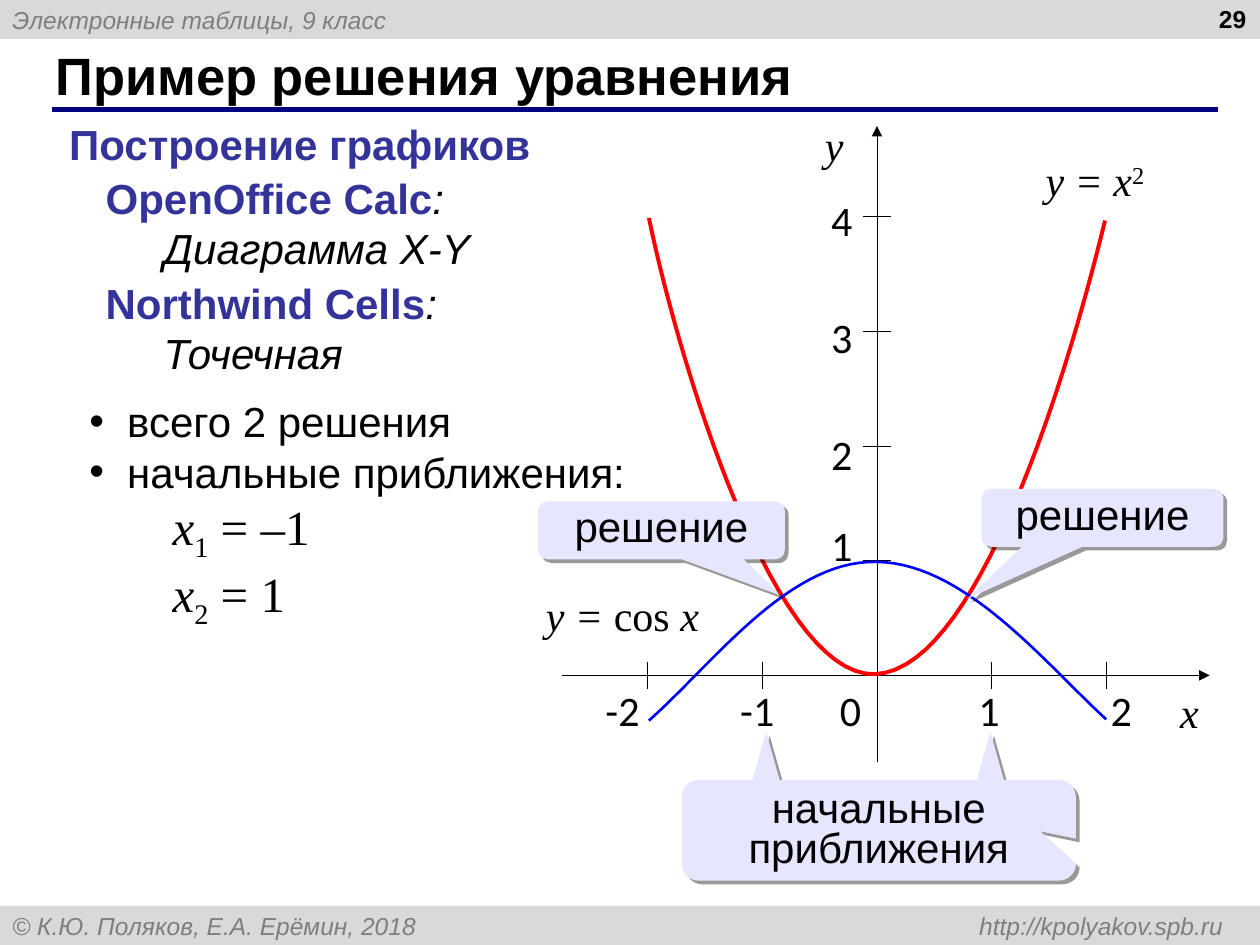
import pptx
import pptx.util
import pptx.dml.color
import pptx.enum.shapes
import pptx.enum.text
import pptx.oxml
import pptx.oxml.ns

WIDTH, HEIGHT = 10, 7.5
BAND = 0.31
ORIGIN_X, ORIGIN_Y, UNIT, TICK = 6.96, 5.36, 0.91, 0.11
KINDS = pptx.enum.shapes.MSO_SHAPE
LEFT, CENTER, RIGHT = (pptx.enum.text.PP_ALIGN.LEFT, pptx.enum.text.PP_ALIGN.CENTER,
                       pptx.enum.text.PP_ALIGN.RIGHT)

PLAIN = {"size": 24, "font": "Arial", "color": "000000"}
ITALIC = {**PLAIN, "italic": True}
HEAD = {**PLAIN, "color": "333399", "bold": True}
TITLE = {**PLAIN, "size": 30, "bold": True}
NUMBER = {**PLAIN, "size": 14, "bold": True}
BAND_TEXT = {"size": 14, "font": "Arial", "color": "7F7F7F", "italic": True}
SCALE = {**PLAIN, "font": "Calibri"}
MATH = {**PLAIN, "font": "Times New Roman"}
VARIABLE = {**MATH, "italic": True}
BIG, BIG_VARIABLE = {**MATH, "size": 28}, {**VARIABLE, "size": 28}
INDEX = {**BIG, "baseline": -25000}
POWER = {**MATH, "baseline": 30000}

BANDS = [
    (0, "Электронные таблицы, 9 класс"),
    (HEIGHT - BAND, "© К.Ю. Поляков, Е.А. Ерёмин, 2018 \thttp://kpolyakov.spb.ru"),
]
HEADINGS = [
    ((0.45, 0.89, 3.99, 0.5), [[("Построение графиков", HEAD)]]),
    ((0.74, 1.32, 3.18, 0.9), [[("OpenOffice Calc", HEAD), (":", ITALIC)],
                               [("Диаграмма X-Y", ITALIC)]]),
    ((0.74, 2.15, 2.85, 0.9), [[("Northwind Cells", HEAD), (":", ITALIC)],
                               [("Точечная", ITALIC)]]),
]
BULLETS = ["всего 2 решения", "начальные приближения:"]
STARTS = [("1", " = –1"), ("2", " = 1")]
X_TICKS, Y_TICKS = (-2, -1, 1, 2), (1, 2, 3, 4)
X_LABELS = [("-2", 4.75), ("-1", 5.82), ("0", 6.56), ("1", 7.66), ("2", 8.71)]
Y_LABELS = [("1", 4.12), ("2", 3.4), ("3", 2.47), ("4", 1.54)]
FORMULAS = [
    ((9.25, 5.45, 0.38, 0.35), [("x", VARIABLE)]),
    ((6.43, 0.95, 0.38, 0.45), [("y", VARIABLE)]),
    ((8.15, 1.23, 1.08, 0.45), [("y = x", VARIABLE), ("2", POWER)]),
    ((4.12, 4.68, 1.64, 0.45), [("y = ", VARIABLE), ("cos", MATH), (" x", VARIABLE)]),
]
CURVES = [
    ("FF0000", 2.25, [(5.15, 1.73), (5.39, 2.89), (6.15, 5.39), (6.95, 5.35),
                      (7.76, 5.31), (8.47, 2.99), (8.77, 1.75)]),
    ("0000FF", 1.5, [(5.15, 5.72), (5.65, 5.28), (6.26, 4.44), (6.96, 4.46),
                     (7.66, 4.47), (8.3, 5.27), (8.78, 5.71)]),
]
CALLOUT = KINDS.ROUNDED_RECTANGULAR_CALLOUT
CALLOUTS = [
    (CALLOUT, (4.27, 3.98, 1.96, 0.46), (0.48, 1.12, 0.17), "решение"),
    (CALLOUT, (7.79, 3.88, 1.92, 0.46), (-0.56, 1.4, 0.17), "решение"),
    (KINDS.ISOSCELES_TRIANGLE, (5.97, 5.81, 0.22, 0.39), (0.5,), ""),
    (KINDS.ISOSCELES_TRIANGLE, (7.75, 5.81, 0.22, 0.39), (0.5,), ""),
    (CALLOUT, (5.41, 6.19, 3.13, 0.8), (0.41, 0.01, 0.17), "начальные приближения"),
]


def inches(values):
    return [pptx.util.Inches(value) for value in values]


def rgb(color):
    return pptx.dml.color.RGBColor.from_string(color)


def element(xml):
    return pptx.oxml.parse_xml(xml.replace(" ", f' {pptx.oxml.ns.nsdecls("a")} ', 1))


def add_span(para, text, style):
    span = para.add_run()
    span.text = text
    span.font.size = pptx.util.Pt(style["size"])
    span.font.name = style["font"]
    span.font.color.rgb = rgb(style["color"])
    span.font.bold = style.get("bold", False)
    span.font.italic = style.get("italic", False)
    if "baseline" in style:
        span.font._element.set("baseline", str(style["baseline"]))


def write(box, lines, align=LEFT, inset=(0.1, 0.05), anchor="TOP", spacing=1.0):
    frame = box.text_frame
    frame.word_wrap = True
    frame.vertical_anchor = pptx.enum.text.MSO_ANCHOR[anchor]
    frame.margin_left = frame.margin_right = pptx.util.Inches(inset[0])
    frame.margin_top = frame.margin_bottom = pptx.util.Inches(inset[1])
    for number, line in enumerate(lines):
        para = frame.add_paragraph() if number else frame.paragraphs[0]
        para.alignment = align
        para.line_spacing = spacing
        para.space_before = pptx.util.Pt(0)
        for text, style in line:
            add_span(para, text, style)
    return frame.paragraphs


def indent(para, margin, first=0, bullet=None):
    properties = para._p.get_or_add_pPr()
    properties.set("marL", str(pptx.util.Inches(margin)))
    properties.set("indent", str(pptx.util.Inches(first)))
    properties.append(element(f'<a:buChar char="{bullet}"/>' if bullet else "<a:buNone />"))


def place(shape, area):
    shape.left, shape.top, shape.width, shape.height = inches(area)


def add_text(page, area, lines, **options):
    return write(page.shapes.add_textbox(*inches(area)), lines, **options)


def add_line(page, start, end, color="000000", width=0.25, arrow=False):
    line = page.shapes.add_connector(pptx.enum.shapes.MSO_CONNECTOR.STRAIGHT,
                                     *inches(start + end))
    line.line.color.rgb = rgb(color)
    line.line.width = pptx.util.Pt(width)
    if arrow:
        line.line._get_or_add_ln().append(element('<a:tailEnd type="triangle"/>'))
    line._element.spPr.append(element("<a:effectLst />"))


def bezier(points, steps=30):
    for first in range(0, len(points) - 1, 3):
        a, b, c, d = points[first:first + 4]
        for step in range(1, steps + 1):
            t = step / steps
            u = 1 - t
            yield inches(u**3 * p + 3 * u * u * t * q + 3 * u * t * t * r + t**3 * s
                         for p, q, r, s in zip(a, b, c, d))


def add_curve(page, color, width, points):
    builder = page.shapes.build_freeform(*inches(points[0]))
    builder.add_line_segments(list(bezier(points)), close=False)
    curve = builder.convert_to_shape()
    curve.shadow.inherit = False
    curve.fill.background()
    curve.line.color.rgb = rgb(color)
    curve.line.width = pptx.util.Pt(width)


def add_filled(page, kind, area, color):
    shape = page.shapes.add_shape(kind, *inches(area))
    shape.shadow.inherit = False
    shape.fill.solid()
    shape.fill.fore_color.rgb = rgb(color)
    shape.line.fill.background()
    return shape


def add_callout(page, kind, area, adjustments, text):
    shape = add_filled(page, kind, area, "E6E6FF")
    for number, value in enumerate(adjustments):
        shape.adjustments[number] = value
    effects = shape._element.spPr.find(pptx.oxml.ns.qn("a:effectLst"))
    effects.append(element(
        '<a:outerShdw dist="38100" dir="2700000" algn="tl" rotWithShape="0">'
        '<a:srgbClr val="000000"><a:alpha val="40000"/></a:srgbClr></a:outerShdw>'))
    if text:
        write(shape, [[(text, PLAIN)]], align=CENTER, spacing=0.8)


def add_bands(page):
    for top, text in BANDS:
        band = add_filled(page, KINDS.RECTANGLE, (0, top, WIDTH, BAND), "D9D9D9")
        para = write(band, [[(text, BAND_TEXT)]], anchor="MIDDLE")[0]
        para._p.get_or_add_pPr().append(element(
            f'<a:tabLst ><a:tab pos="{pptx.util.Inches(9.61)}" algn="r"/></a:tabLst>'))


def add_axes(page):
    add_line(page, (ORIGIN_X, 6.05), (ORIGIN_X, 1), arrow=True)
    add_line(page, (4.46, ORIGIN_Y), (9.6, ORIGIN_Y), arrow=True)
    for value in Y_TICKS:
        y = ORIGIN_Y - value * UNIT
        add_line(page, (ORIGIN_X - TICK, y), (ORIGIN_X + TICK, y))
    for value in X_TICKS:
        x = ORIGIN_X + value * UNIT
        add_line(page, (x, ORIGIN_Y - TICK), (x, ORIGIN_Y + TICK))
    labels = [(text, left, 5.43) for text, left in X_LABELS]
    labels += [(text, 6.49, top) for text, top in Y_LABELS]
    for text, left, top in labels:
        add_text(page, (left, top, 0.38, 0.38), [[(text, SCALE)]], align=CENTER, inset=(0, 0))


def main():
    deck = pptx.Presentation()
    deck.slide_width, deck.slide_height = inches((WIDTH, HEIGHT))
    page = deck.slides.add_slide(deck.slide_layouts[1])
    title, body = page.placeholders
    place(title, (0.34, 0.33, 9.16, 0.52))
    write(title, [[("Пример решения уравнения", TITLE)]], anchor="MIDDLE")
    add_bands(page)
    add_line(page, (0.41, 0.87), (9.67, 0.87), "000080", 3)
    add_text(page, (7.66, -0.02, 2.33, 0.52), [[("29", NUMBER)]], align=RIGHT)
    add_axes(page)
    for curve in CURVES:
        add_curve(page, *curve)
    for area, line in FORMULAS:
        add_text(page, area, [line], align=CENTER, inset=(0, 0))
    for area, lines in HEADINGS:
        for para in add_text(page, area, lines)[1:]:
            indent(para, 0.46)
    for callout in CALLOUTS:
        add_callout(page, *callout)
    place(body, (0.61, 3.09, 4.79, 1.96))
    lines = [[(text, PLAIN)] for text in BULLETS]
    lines += [[("x", BIG_VARIABLE), (index, INDEX), (value, BIG)] for index, value in STARTS]
    for number, para in enumerate(write(body, lines)):
        if number < len(BULLETS):
            indent(para, 0.3, -0.3, "•")
        else:
            indent(para, 0.66)
    deck.save("out.pptx")


if __name__ == "__main__":
    main()
